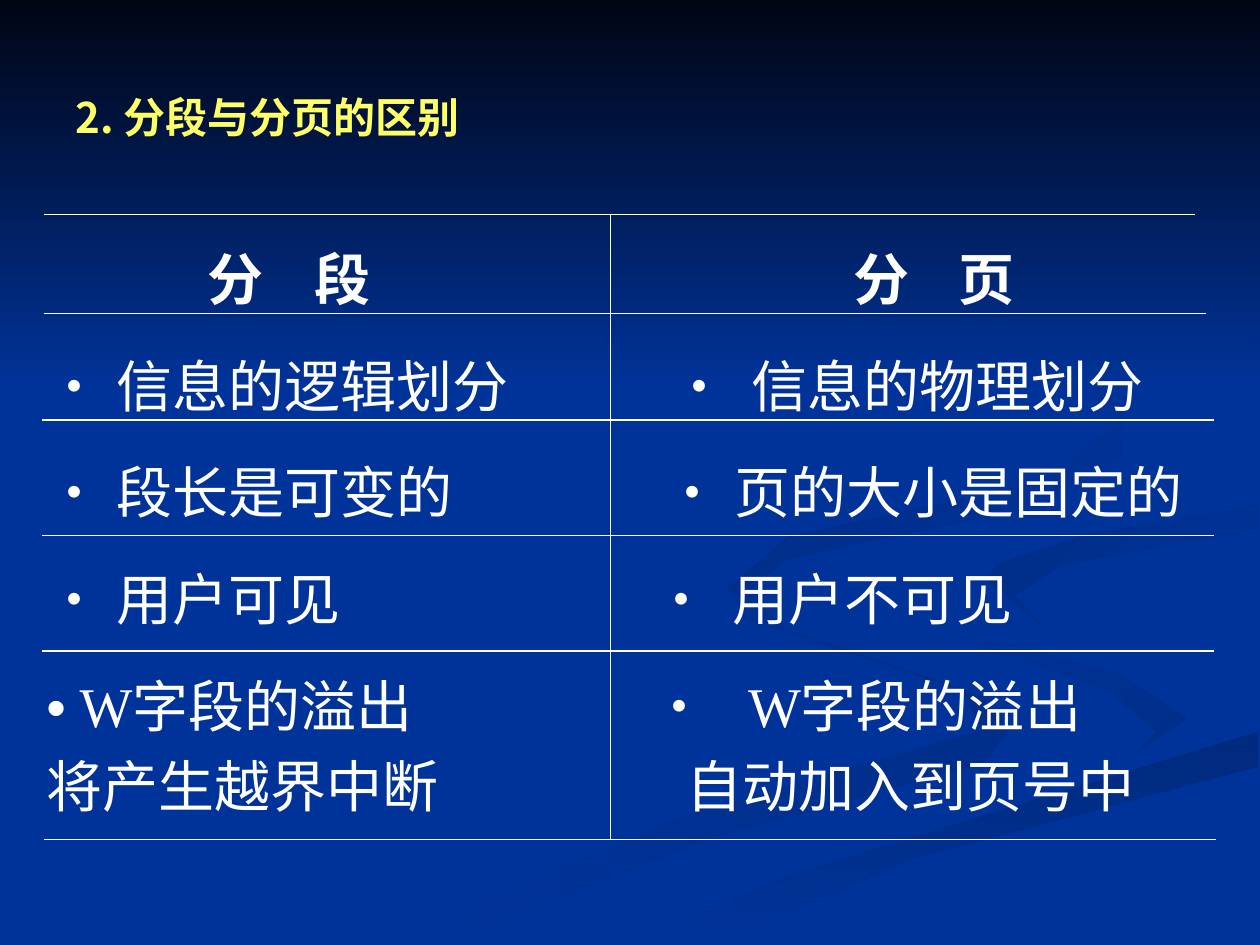
from lxml import etree
from pptx import Presentation
from pptx import util as u
from pptx.dml.color import RGBColor
from pptx.enum import shapes, text
from pptx.oxml.ns import qn

BLUE, WHITE, YELLOW = "003399", "FFFFFF", "FFFF66"
LATIN, BULLET_FONT, CHINESE = "Times New Roman", "Arial", "Noto Sans CJK SC"

# Background swooshes: first colour, last colour, angle, outline in points
SWOOSHES = [
    (BLUE, "002E8B", 0, [
        (562, 398), (442, 357), (414, 330), (427, 354), (549, 394), (562, 417),
        (388, 467), (216, 539), (260, 539), (406, 479), (562, 436), (576, 418)]),
    (BLUE, "002E8B", 45, [
        (679, 410), (639, 385), (546, 359), (521, 334), (544, 364), (634, 395),
        (661, 418), (644, 436), (675, 422)]),
    ("002A7D", BLUE, 90, [
        (362, 539), (411, 539), (520, 491), (719, 438), (719, 418), (550, 466),
        (454, 499)]),
    (BLUE, BLUE, 0, [
        (522, 334), (546, 359), (640, 385), (679, 410), (642, 436), (477, 481),
        (343, 539), (454, 499), (719, 418), (719, 387), (611, 362), (563, 331),
        (623, 305), (719, 279), (582, 300)]),
    ("002D86", BLUE, 45, [
        (563, 331), (595, 357), (580, 340), (607, 323), (719, 302), (719, 289),
        (623, 305), (570, 322)]),
    ("002B82", BLUE, 45, [
        (492, 310), (594, 289), (640, 261), (641, 233), (607, 198), (549, 168),
        (609, 201), (640, 241), (598, 275), (450, 307), (416, 337), (448, 360),
        (427, 338), (449, 320)]),
]

# Comparison rows: pieces split by tabs, tab stops, space before
ROWS = [
    (["", "分", "段", "分", "页"], [92, 153, 461, 521], 0),
    (["•", "信息的逻辑划分", "•", "信息的物理划分"], [40, 357, 403], 23),
    (["•", "段长是可变的", "•", "页的大小是固定的"], [40, 353, 393], 23),
    (["•", "用户可见", "•", "用户不可见"], [40, 347, 392], 23),
    (["•", "W字段的溢出", "•", "W字段的溢出"], [19, 346, 401], 23),
    (["将产生越界中断", "自动加入到页号中"], [366], 8),
]

# Ruling lines
TABLE_TOP, TABLE_BOTTOM, DIVIDER_X = 122.5, 479.7, 348.7
OUTER_RULES = [(TABLE_TOP, 683), (179.3, 689), (TABLE_BOTTOM, 695)]
INNER_RULES = [240 + 66 * row for row in range(3)]


def color(hex_string):
    return RGBColor.from_string(hex_string)


def paint_gradient(shape, first, last, angle):
    shape.shadow.inherit = False
    shape.line.fill.background()
    shape.fill.gradient()
    shape.fill.gradient_angle = (360 - angle) % 360
    for stop, shade in zip(shape.fill.gradient_stops, (first, last)):
        stop.color.rgb = color(shade)


def add_swoosh(slide, first, last, angle, points):
    builder = slide.shapes.build_freeform(*points[0], scale=u.Pt(1))
    builder.add_line_segments(points[1:], close=True)
    paint_gradient(builder.convert_to_shape(), first, last, angle)


def add_rule(slide, x1, y1, x2, y2):
    rule = slide.shapes.add_connector(
        shapes.MSO_CONNECTOR.STRAIGHT, u.Pt(x1), u.Pt(y1), u.Pt(x2), u.Pt(y2))
    rule.line.color.rgb = color(WHITE)
    rule.line.width = u.Pt(0.75)
    etree.SubElement(rule._element.spPr, qn("a:effectLst"))


def add_text_frame(slide, left, top, width, height):
    frame = slide.shapes.add_textbox(
        u.Pt(left), u.Pt(top), u.Pt(width), u.Pt(height)).text_frame
    frame.word_wrap = True
    return frame


def set_font(font, name, size, shade, bold=False):
    font.name, font.size, font.bold = name, u.Pt(size), bold
    font.color.rgb = color(shade)
    east_asian = etree.Element(qn("a:ea"), typeface=CHINESE)
    font._element.find(qn("a:latin")).addnext(east_asian)


def add_tab_stops(paragraph, stops):
    tab_list = etree.SubElement(paragraph._p.get_or_add_pPr(), qn("a:tabLst"))
    for stop in stops:
        etree.SubElement(tab_list, qn("a:tab"), pos=str(u.Pt(stop)), algn="l")


def fill_row(paragraph, pieces, stops, space_before, bold):
    add_tab_stops(paragraph, stops)
    set_font(paragraph.font, LATIN, 32, WHITE, bold)
    paragraph.line_spacing = u.Pt(38)
    paragraph.space_before = u.Pt(space_before)
    for index, piece in enumerate(pieces):
        if index:
            paragraph.add_run().text = "\t"
        if piece:
            run = paragraph.add_run()
            run.text = piece
            if piece == "•":
                run.font.name = BULLET_FONT


def add_title(slide, title):
    frame = add_text_frame(slide, 36, 21.6, 648, 90)
    frame.vertical_anchor = text.MSO_ANCHOR.MIDDLE
    paragraph = frame.paragraphs[0]
    paragraph.text = title
    set_font(paragraph.font, CHINESE, 24, YELLOW, bold=True)


def add_comparison(slide):
    frame = add_text_frame(slide, 19.4, 134, 689, 356)
    frame.margin_top = u.Pt(6)
    for index, (pieces, stops, space_before) in enumerate(ROWS):
        paragraph = frame.add_paragraph() if index else frame.paragraphs[0]
        fill_row(paragraph, pieces, stops, space_before, bold=index == 0)


def main():
    presentation = Presentation()
    presentation.slide_width, presentation.slide_height = u.Pt(720), u.Pt(540)
    slide = presentation.slides.add_slide(presentation.slide_layouts[6])

    # Background
    slide.background.fill.solid()
    slide.background.fill.fore_color.rgb = color(BLUE)
    for swoosh in SWOOSHES:
        add_swoosh(slide, *swoosh)
    sky = slide.shapes.add_shape(
        shapes.MSO_SHAPE.RECTANGLE, 0, 0, u.Pt(720), u.Pt(221.8))
    paint_gradient(sky, "000514", BLUE, 90)

    # Title and comparison
    add_title(slide, "2. 分段与分页的区别")
    add_comparison(slide)

    # Rules between rows and columns
    for y in INNER_RULES:
        add_rule(slide, 24, y, 693.5, y)
    for y, right in OUTER_RULES:
        add_rule(slide, 25, y, right, y)
    add_rule(slide, DIVIDER_X, TABLE_TOP, DIVIDER_X, TABLE_BOTTOM)

    presentation.save("out.pptx")


if __name__ == "__main__":
    main()
